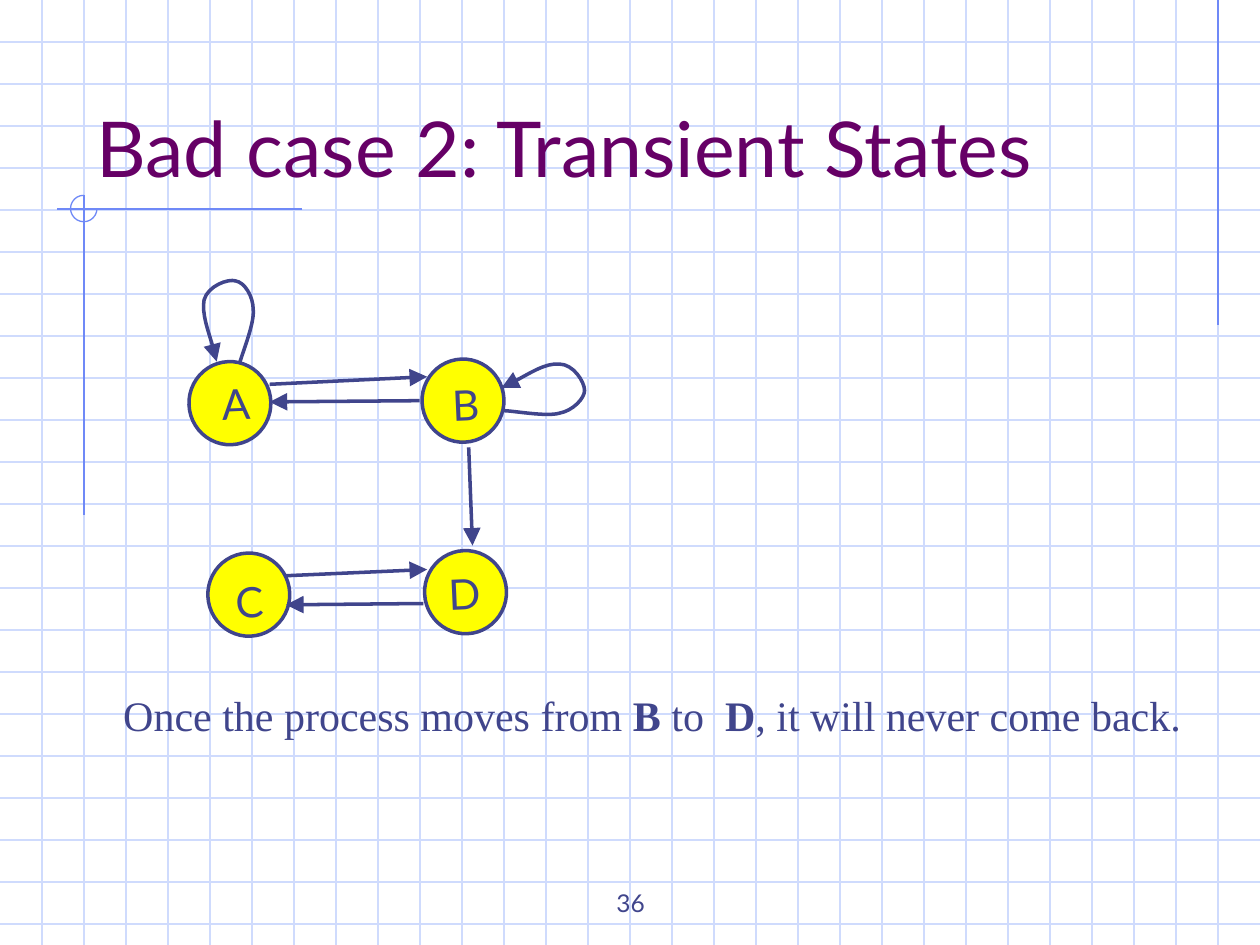
from pptx import Presentation
from pptx.dml.color import RGBColor
from pptx.enum.shapes import MSO_CONNECTOR, MSO_SHAPE
from pptx.enum.text import MSO_ANCHOR, MSO_AUTO_SIZE, PP_ALIGN
from pptx.oxml import parse_xml
from pptx.oxml.ns import nsdecls, qn
from pptx.util import Inches, Pt

WIDTH, HEIGHT = 10, 7.5
STEP = 1 / 3
GRID_BLUE = RGBColor(0xCF, 0xDB, 0xFD)
RULE_BLUE = RGBColor(0x6F, 0x89, 0xF7)
INK = RGBColor(0x40, 0x45, 0x8C)
PURPLE = RGBColor(0x66, 0x00, 0x66)
YELLOW = RGBColor(0xFF, 0xFF, 0x00)
TILT = 357.5
NODE_SIZE = (0.65, 0.66)

# Node name: circle's left and top, then its label's left, top and width
NODES = {
    "A": ((1.5, 2.87), (1.66, 2.95, 0.41)),
    "B": ((3.35, 2.85), (3.49, 2.96, 0.41)),
    "C": ((1.65, 4.39), (1.77, 4.52, 0.41)),
    "D": ((3.37, 4.37), (3.46, 4.46, 0.44)),
}
TRANSITIONS = [
    ((2.14, 3.05), (3.39, 2.99)),  # A to B
    ((3.33, 3.18), (2.14, 3.19)),  # B to A
    ((3.72, 3.55), (3.75, 4.33)),  # B to D
    ((2.26, 4.57), (3.39, 4.52)),  # C to D
    ((3.36, 4.79), (2.27, 4.8)),  # D to C
]
# Each loop: an end point followed by two control points and the next end point
LOOP_A = [(1.9, 2.89), (1.92, 2.81), (2.02, 2.57), (2.01, 2.46),
          (2.01, 2.35), (1.94, 2.24), (1.87, 2.23),
          (1.81, 2.21), (1.65, 2.27), (1.62, 2.38),
          (1.6, 2.49), (1.7, 2.77), (1.72, 2.87)]
LOOP_B = [(4, 3.26), (4.07, 3.26), (4.34, 3.31), (4.44, 3.28),
          (4.55, 3.26), (4.64, 3.16), (4.64, 3.1),
          (4.64, 3.03), (4.55, 2.89), (4.44, 2.89),
          (4.33, 2.88), (4.07, 3.04), (3.98, 3.08)]


def style_line(shape, color, weight, arrow=False):
    shape.line.color.rgb = color
    shape.line.width = Pt(weight)
    if arrow:
        shape.get_or_add_ln().append(parse_xml(
            f'<a:tailEnd type="triangle" w="lg" len="lg" {nsdecls("a")}/>'))


def add_line(slide, start, end, color, weight=0.75, arrow=False):
    line = slide.shapes.add_connector(
        MSO_CONNECTOR.STRAIGHT, *map(Inches, (*start, *end)))
    style_line(line, color, weight, arrow)
    line._element.spPr.append(parse_xml(f'<a:effectLst {nsdecls("a")}/>'))


def add_round(slide, kind, box, color, weight, fill=None):
    """Add a circle or an arc, unfilled unless a fill is given."""
    shape = slide.shapes.add_shape(kind, *map(Inches, box))
    shape.shadow.inherit = False
    if fill is None:
        shape.fill.background()
    else:
        shape.fill.solid()
        shape.fill.fore_color.rgb = fill
    style_line(shape, color, weight)
    return shape


def add_loop(slide, controls):
    """Draw an arrow along a chain of cubic curves."""
    start, *others = [tuple(map(Inches, point)) for point in controls]
    builder = slide.shapes.build_freeform(*start)
    builder.add_line_segments(others, close=False)
    loop = builder.convert_to_shape()
    segments = list(loop._element.iter(qn("a:lnTo")))
    for i in range(0, len(segments), 3):
        curve = parse_xml(f'<a:cubicBezTo {nsdecls("a")}/>')
        segments[i].addprevious(curve)
        for segment in segments[i:i + 3]:
            curve.append(segment[0])
            segment.getparent().remove(segment)
    loop.shadow.inherit = False
    loop.fill.background()
    style_line(loop, INK, 2, arrow=True)


def write(frame, *runs, font="Lato", size=24, color=INK, align=PP_ALIGN.LEFT,
          anchor=MSO_ANCHOR.TOP, wrap=True, fit=MSO_AUTO_SIZE.NONE):
    """Fill a text frame with (text, bold) runs in one paragraph."""
    frame.word_wrap = wrap
    frame.auto_size = fit
    frame.vertical_anchor = anchor
    paragraph = frame.paragraphs[0]
    paragraph.alignment = align
    for text, bold in runs:
        run = paragraph.add_run()
        run.text = text
        run.font.name = font
        run.font.size = Pt(size)
        run.font.bold = bold
        run.font.color.rgb = color


def add_text(slide, box, *runs, **text_format):
    textbox = slide.shapes.add_textbox(*map(Inches, box))
    write(textbox.text_frame, *runs, **text_format)
    return textbox


def add_backdrop(slide):
    for row in range(1, 23):
        add_line(slide, (0, row * STEP), (WIDTH, row * STEP), GRID_BLUE)
    for column in range(1, 30):
        add_line(slide, (column * STEP, 0), (column * STEP, HEIGHT), GRID_BLUE)
    add_line(slide, (29 * STEP, 0), (29 * STEP, 2.58), RULE_BLUE)
    add_line(slide, (2.4, 1.66), (0.45, 1.66), RULE_BLUE)
    add_line(slide, (2 * STEP, 1.55), (2 * STEP, 4.09), RULE_BLUE)
    arc = add_round(slide, MSO_SHAPE.ARC, (0.56, 1.55, 0.21, 0.21), RULE_BLUE, 0.75)
    arc.adjustments[0] = 0
    arc.adjustments[1] = 162  # 270 degrees


def move_to_master(slide, master):
    """Hand the slide's shapes, all but its placeholders, to the master."""
    for number, shape in enumerate(list(slide.shapes), start=100):
        if not shape.is_placeholder:
            shape._element.nvXxPr.cNvPr.set("id", str(number)) if hasattr(
                shape._element, "nvXxPr") else None
            master.shapes.element.append(shape._element)


def add_title(slide, text):
    title = slide.shapes.title
    title.left, title.top, title.width, title.height = map(
        Inches, (2 * STEP, STEP, 8.5, 1.25))
    write(title.text_frame, (text, False), size=44, color=PURPLE,
          anchor=MSO_ANCHOR.BOTTOM)


def add_state_graph(slide):
    for corner, _ in NODES.values():
        circle = add_round(slide, MSO_SHAPE.OVAL, (*corner, *NODE_SIZE),
                           INK, 2, YELLOW)
        circle.rotation = TILT
    for start, end in TRANSITIONS:
        add_line(slide, start, end, INK, 2, arrow=True)
    for loop in (LOOP_A, LOOP_B):
        add_loop(slide, loop)
    for name, (_, label_box) in NODES.items():
        label = add_text(slide, (*label_box, 0.5), (name, False), wrap=False,
                         fit=MSO_AUTO_SIZE.SHAPE_TO_FIT_TEXT)
        label.rotation = TILT


def main():
    deck = Presentation()
    deck.slide_width, deck.slide_height = Inches(WIDTH), Inches(HEIGHT)
    slide = deck.slides.add_slide(deck.slide_layouts[5])
    add_backdrop(slide)
    move_to_master(slide, deck.slide_master)
    add_text(slide, (3.42, 6.83, 3.17, 0.5), ("36", False), size=14,
             align=PP_ALIGN.CENTER, anchor=MSO_ANCHOR.BOTTOM)
    add_title(slide, "Bad case 2: Transient States")
    add_state_graph(slide)
    add_text(slide, (0.88, 5.42, 9.2, 0.5),
             ("Once the process moves from ", False), ("B ", True),
             ("to  ", False), ("D", True),
             (", it will never come back.", False),
             font="Times New Roman", fit=MSO_AUTO_SIZE.SHAPE_TO_FIT_TEXT)
    deck.save("out.pptx")


if __name__ == "__main__":
    main()
